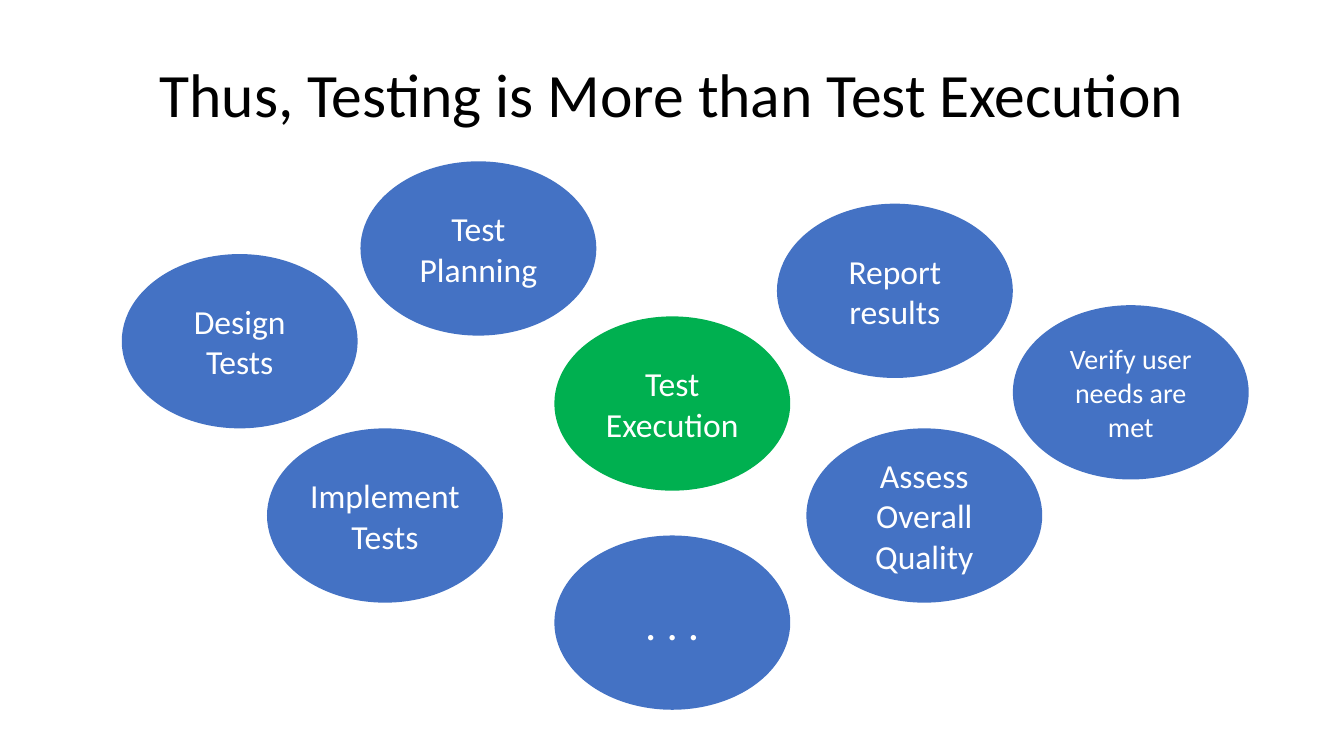
from pptx import Presentation
from pptx.dml.color import RGBColor as RGB
from pptx.enum.shapes import MSO_SHAPE as SHAPE
from pptx.enum.text import MSO_ANCHOR as ANCHOR, PP_ALIGN as ALIGN
from pptx.util import Pt

HUES = {"task": "4472C4", "focus": "00B050", "label": "FFFFFF", "title": "000000"}
FONT = "Calibri"
SIZE = (168.5, 124.5)

# left, top, lines, text size, fill, side inset
TASKS = [
    (396, 226, ["Test Execution"], 24, "focus", 7.2),
    (396, 382.5, [". . ."], 32, "task", 7.2),
    (576, 306, ["Assess", "Overall Quality"], 24, "task", 7.2),
    (190.75, 306, ["Implement", "Tests"], 24, "task", 0),
    (87, 181.5, ["Design", "Tests"], 24, "task", 7.2),
    (257.5, 115.25, ["Test", "Planning"], 24, "task", 7.2),
    (555, 145.5, ["Report results"], 24, "task", 7.2),
    (723.5, 218, ["Verify user needs are met"], 20, "task", 7.2),
]


def write(frame, lines, size, hue):
    frame.word_wrap = True
    frame.vertical_anchor = ANCHOR.MIDDLE
    for i, line in enumerate(lines):
        para = frame.add_paragraph() if i else frame.paragraphs[0]
        para.alignment = ALIGN.CENTER
        run = para.add_run()
        run.text = line
        run.font.name = FONT
        run.font.size = Pt(size)
        run.font.color.rgb = RGB.from_string(HUES[hue])


def add_title(slide, text, left, top, width, height):
    title = slide.shapes.title
    title.left, title.top = Pt(left), Pt(top)
    title.width, title.height = Pt(width), Pt(height)
    write(title.text_frame, [text], 44, "title")
    title.text_frame.paragraphs[0].line_spacing = 0.9


def add_task(slide, box, lines, size, hue, inset):
    oval = slide.shapes.add_shape(SHAPE.OVAL, *map(Pt, box))
    oval.shadow.inherit = False
    oval.fill.solid()
    oval.fill.fore_color.rgb = RGB.from_string(HUES[hue])
    oval.line.fill.background()
    frame = oval.text_frame
    frame.margin_left = frame.margin_right = Pt(inset)
    write(frame, lines, size, "label")


def main():
    deck = Presentation()
    deck.slide_width, deck.slide_height = Pt(960), Pt(540)
    slide = deck.slides.add_slide(deck.slide_layouts[5])
    add_title(slide, "Thus, Testing is More than Test Execution", 66, 17.5, 828, 104.5)
    for left, top, *look in TASKS:
        add_task(slide, (left, top, *SIZE), *look)
    deck.save("out.pptx")


if __name__ == "__main__":
    main()
